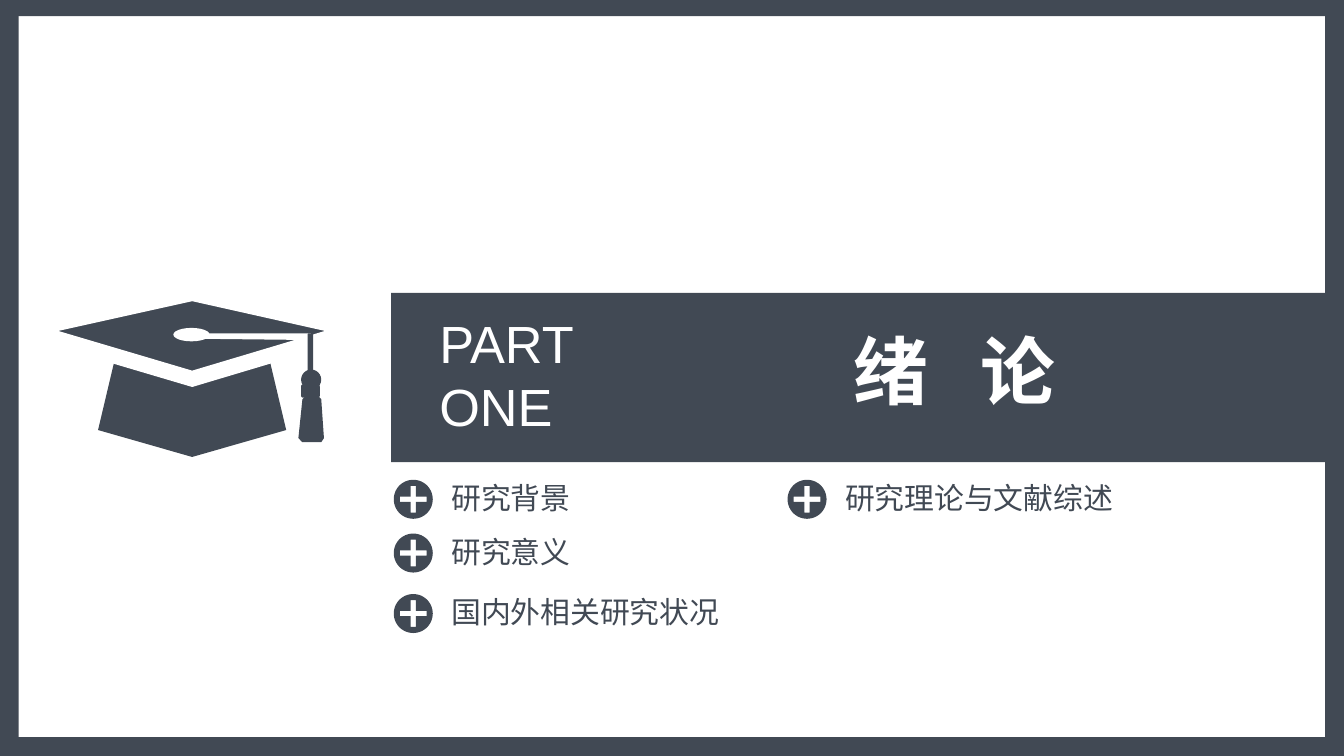
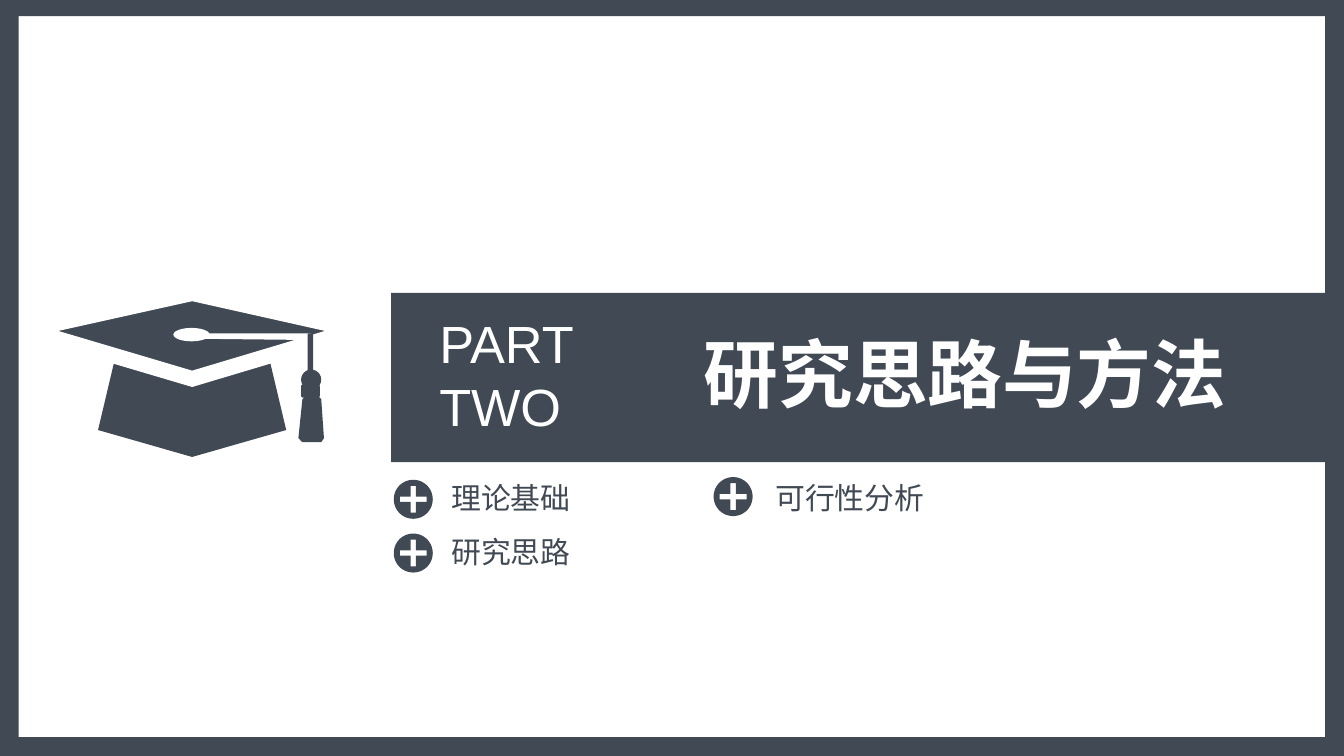
from math import cos, pi, sin

from pptx import Presentation
from pptx.dml.color import RGBColor
from pptx.enum.shapes import MSO_SHAPE
from pptx.enum.text import MSO_ANCHOR, MSO_AUTO_SIZE, PP_ALIGN
from pptx.util import Inches, Pt

SLATE = "414954"
WHITE = "FFFFFF"
FONT = "Arial"
WIDTH = 10
HEIGHT = WIDTH * 9 / 16
BORDER = 0.14
DISC = 0.29

SECTIONS = [
    {
        "part": "PART ONE",
        "title": "绪 论",
        "title_at": (4.77, 2.37),
        "tracking": 9.5,
        "topics": [
            ("研究背景", 2.93, 3.57),
            ("研究理论与文献综述", 5.86, 3.57),
            ("研究意义", 2.93, 3.97),
            ("国内外相关研究状况", 2.93, 4.42),
        ],
    },
    {
        "part": "PART TWO",
        "title": "研究思路与方法",
        "title_at": (4.85, 2.39),
        "tracking": 0,
        "topics": [
            ("理论基础", 2.93, 3.57),
            ("研究思路", 2.93, 3.97),
            ("可行性分析", 5.31, 3.55, 0.36, -0.03),
        ],
    },
]


def color(hex_value):
    return RGBColor.from_string(hex_value)


def paint(shape, fill, outline=None, outline_width=0):
    shape.shadow.inherit = False
    shape.fill.solid()
    shape.fill.fore_color.rgb = color(fill)
    if outline:
        shape.line.color.rgb = color(outline)
        shape.line.width = Pt(outline_width)
    else:
        shape.line.fill.background()
    return shape


def preset(shapes, kind, box, fill):
    return paint(shapes.add_shape(kind, *map(Inches, box)), fill)


def outline_shape(shapes, contours, fill, **line):
    """Fill one or more closed contours, given as points in inches."""
    builder = None
    for contour in contours:
        start, *rest = [(Inches(x), Inches(y)) for x, y in contour]
        if builder is None:
            builder = shapes.build_freeform(*start)
        else:
            builder.move_to(*start)
        builder.add_line_segments(rest, close=True)
    return paint(builder.convert_to_shape(), fill, **line)


def write(shape, text, size, fill, bold=False, align=PP_ALIGN.LEFT, tracking=0):
    """Set one paragraph; tracking (points) widens all gaps between letters."""
    frame = shape.text_frame
    frame.word_wrap = True
    frame.vertical_anchor = MSO_ANCHOR.TOP
    frame.auto_size = MSO_AUTO_SIZE.SHAPE_TO_FIT_TEXT
    paragraph = frame.paragraphs[0]
    paragraph.alignment = align
    for piece in (text[:-1], text[-1]) if tracking else (text,):
        run = paragraph.add_run()
        run.text = piece
        run.font.name = FONT
        run.font.size = Pt(size)
        run.font.bold = bold
        run.font.color.rgb = color(fill)
    if tracking:
        first_run = paragraph.runs[0]
        first_run.font._element.set("spc", str(round(tracking * 100)))


def text_box(shapes, box, text, **style):
    write(shapes.add_textbox(*map(Inches, box)), text, **style)


def graduation_cap(shapes, left, top):
    cap = shapes.add_group_shape().shapes

    def part(points, fill, **line):
        outline_shape(cap, [[(left + x, top + y) for x, y in points]], fill, **line)

    def rounded(kind, x, y, width, height, fill):
        preset(cap, kind, (left + x, top + y, width, height), fill)

    part([(1.78, 0.98), (1.08, 1.18), (0.38, 0.98), (0.52, 0.39), (1.64, 0.39)], SLATE)
    part([(2.15, 0.24), (1.08, 0), (0, 0.24), (0, 0.34), (1.08, 0.66), (2.15, 0.34)],
         WHITE)
    part([(1.08, 0.56), (0, 0.24), (1.08, 0), (2.15, 0.24)], SLATE,
         outline=WHITE, outline_width=3)
    part([(1.04, 0.27), (1.06, 0.26), (1.96, 0.26), (1.98, 0.29), (1.95, 0.31),
          (1.05, 0.3)], WHITE)
    rounded(MSO_SHAPE.ROUNDED_RECTANGLE, 1.94, 0.26, 0.04, 0.31, SLATE)
    rounded(MSO_SHAPE.OVAL, 1.89, 0.53, 0.15, 0.15, SLATE)
    part([(2.06, 1.04), (2.04, 1.07), (1.9, 1.07), (1.87, 1.04), (1.9, 0.75),
          (1.93, 0.72), (2.01, 0.72), (2.04, 0.75)], SLATE)
    rounded(MSO_SHAPE.ROUNDED_RECTANGLE, 1.89, 0.64, 0.14, 0.1, SLATE)
    rounded(MSO_SHAPE.OVAL, 0.94, 0.22, 0.27, 0.1, WHITE)


def build_layout(layout, slide):
    """Draw the shared frame, band and cap on a slide and hand them to its layout."""
    existing = {shape.shape_id for shape in slide.shapes}
    for box in (
        (0, 0, WIDTH, 0.12),
        (0, HEIGHT - BORDER, WIDTH, BORDER),
        (0, 0, BORDER, HEIGHT),
        (WIDTH - BORDER, 0, BORDER, HEIGHT),
        (2.91, 2.18, 7.01, 1.26),
    ):
        preset(slide.shapes, MSO_SHAPE.RECTANGLE, box, SLATE)
    graduation_cap(slide.shapes, 0.35, 2.22)
    for shape in list(slide.shapes):
        if shape.shape_id not in existing:
            layout.shapes.element.append(shape.element)


def plus_disc(shapes, left, top):
    """Draw a disc with a plus cut out of it."""
    radius, arm, half = DISC / 2, 0.1, 0.02
    center_x, center_y = left + radius, top + radius
    steps = 60
    circle = [(center_x + radius * cos(2 * pi * i / steps),
               center_y + radius * sin(2 * pi * i / steps)) for i in range(steps)]
    quarter = [(half, arm), (half, half), (arm, half)]
    plus = []
    for _ in range(4):
        plus += [(center_x + x, center_y + y) for x, y in quarter]
        quarter = [(y, -x) for x, y in quarter]
    outline_shape(shapes, [circle, plus], SLATE)


def topic(shapes, text, left, top, label_dx=0.33, label_dy=-0.05):
    group = shapes.add_group_shape().shapes
    plus_disc(group, left, top)
    text_box(group, (left + label_dx, top + label_dy, 2.49, 0.37), text,
             size=16, fill=SLATE)


def section_slide(slide, section):
    title = slide.shapes.title
    title.left, title.top = map(Inches, section["title_at"])
    title.width, title.height = Inches(4.66), Inches(0.77)
    write(title, section["title"], size=40, fill=WHITE, bold=True,
          align=PP_ALIGN.CENTER, tracking=section["tracking"])
    text_box(slide.shapes, (3.17, 2.27, 2.05, 1.04), section["part"],
             size=28, fill=WHITE)
    for entry in section["topics"]:
        topic(slide.shapes, *entry)


def main():
    prs = Presentation()
    prs.slide_width, prs.slide_height = Inches(WIDTH), Inches(HEIGHT)
    layout = prs.slide_layouts.get_by_name("Title Only")
    slides = [prs.slides.add_slide(layout) for _ in SECTIONS]
    build_layout(layout, slides[0])
    for slide, section in zip(slides, SECTIONS):
        section_slide(slide, section)
    prs.save("out.pptx")


if __name__ == "__main__":
    main()
